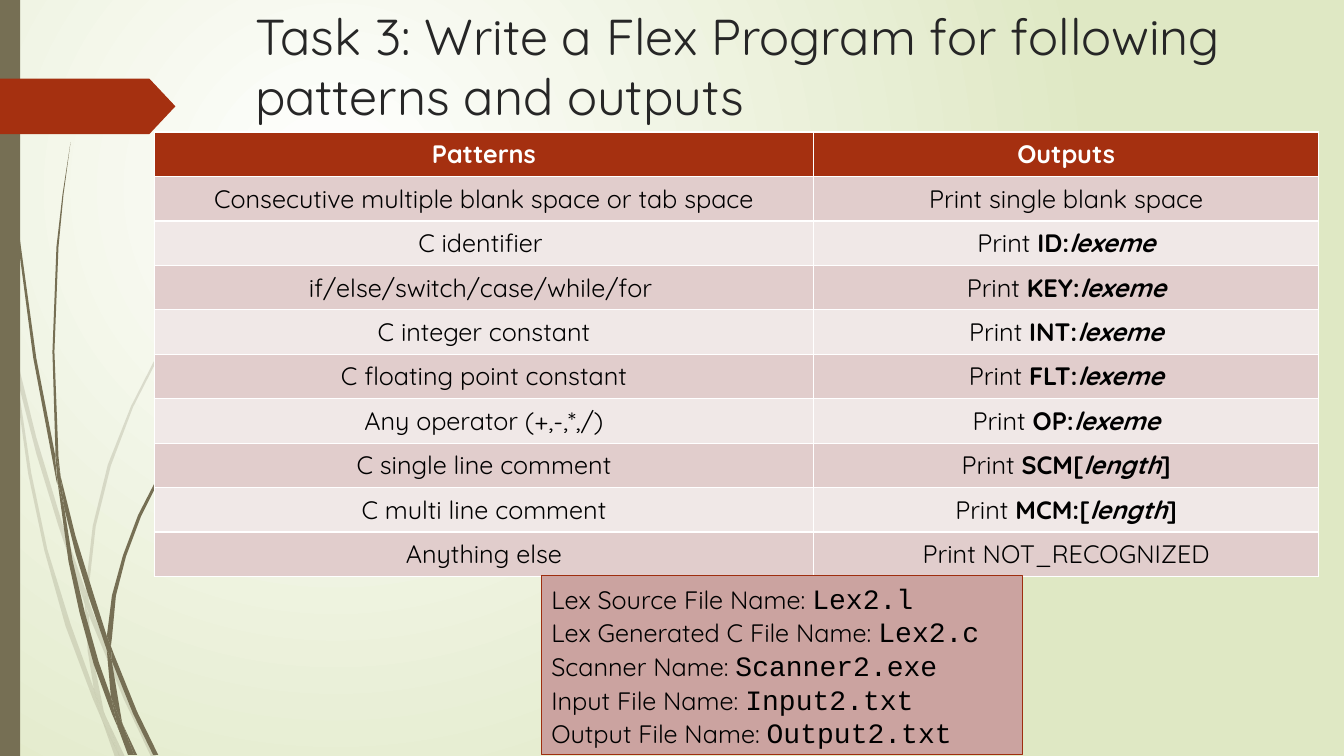
"""Build the Flex exercise slide with its table of patterns and outputs."""
from dataclasses import dataclass

from lxml.etree import SubElement
from pptx import Presentation
from pptx.dml.color import RGBColor
from pptx.enum.shapes import MSO_SHAPE
from pptx.enum.text import MSO_ANCHOR, MSO_AUTO_SIZE, PP_ALIGN
from pptx.oxml.ns import qn
from pptx.util import Inches, Pt

COLUMNS, ROWS = 1333, 750
SLIDE_WIDTH, SLIDE_HEIGHT = Inches(13.33), Inches(7.5)
OLIVE, RUST, BLACK, WHITE = "766F54", "A53010", "000000", "FFFFFF"
BANDS = ("F0E8E7", "E1CDCC")


@dataclass(frozen=True)
class Frame:
    """A place on the grid of the slide."""
    left: int
    top: int
    width: int
    height: int

    def lengths(self):
        """Return left, top, width and height as slide lengths."""
        return (across(self.left), down(self.top), across(self.width), down(self.height))


@dataclass(frozen=True)
class Words:
    """A piece of text with one look."""
    text: str
    color: str = BLACK
    name: str = "Quicksand"
    size: int = 18
    bold: bool = False
    italic: bool = False


@dataclass(frozen=True)
class Tuft:
    """Blades of grass, each an outline of grid points, with one opacity."""
    opacity: int
    blades: tuple


TITLE = Frame(243, 0, 1065, 142)
TABLE = Frame(153, 131, 1155, 441)
TABLE_COLUMNS = (654, 501)
FILES_BOX = Frame(537, 571, 477, 178)
STRIP = Frame(0, 0, 20, 750)
ARROW = Frame(0, 78, 174, 55)

PALE_TUFT = Tuft(20, (
    ((11, 350), (9, 322), (0, 282), (0, 299), (10, 344)),
    ((58, 522), (84, 599), (85, 586), (62, 520), (36, 434), (14, 345), (17, 376), (36, 450)),
    ((92, 607), (88, 596), (88, 610), (123, 694), (150, 751), (155, 751), (127, 692)),
    ((119, 751), (124, 751), (105, 711)),
    ((93, 683), (70, 619), (47, 545), (31, 469), (17, 376), (11, 350), (28, 470), (44, 546),
     (65, 621), (92, 693), (101, 714), (99, 707)),
    ((84, 599), (87, 646), (93, 683), (96, 692), (105, 711), (103, 706), (91, 646), (88, 610)),
    ((88, 584), (95, 522), (110, 462), (132, 404), (160, 349), (192, 297), (229, 245),
     (268, 198), (290, 175), (312, 154), (312, 153), (289, 175), (268, 197), (228, 244),
     (191, 295), (158, 348), (130, 403), (107, 461), (92, 522), (85, 584), (85, 586), (88, 596)),
    ((101, 714), (114, 751), (119, 751)),
    ((88, 608), (88, 596), (85, 586), (84, 599)),
    ((96, 692), (93, 683), (99, 707), (101, 714), (119, 751), (105, 711)),
))

DARK_TUFT = Tuft(100, (
    ((7, 110), (17, 233), (33, 355), (56, 477), (57, 481), (55, 457), (55, 453), (36, 355),
     (19, 232), (8, 109), (5, 48), (4, 0), (3, 0), (4, 48)),
    ((88, 592), (106, 645), (106, 631), (93, 590), (75, 532), (60, 472), (64, 505), (75, 549)),
    ((113, 649), (110, 641), (111, 656), (132, 708), (152, 749), (157, 749), (136, 706)),
    ((110, 691), (98, 657), (84, 607), (72, 556), (64, 505), (57, 477), (68, 557), (79, 608),
     (93, 659), (111, 708), (117, 722)),
    ((60, 472), (58, 453), (54, 349), (58, 245), (63, 193), (70, 141), (62, 193), (56, 245),
     (52, 349), (55, 449)),
    ((133, 749), (136, 749), (122, 719)),
    ((57, 477), (64, 505), (60, 472), (55, 449), (55, 453)),
    ((111, 633), (115, 591), (125, 552), (140, 512), (158, 476), (180, 440), (205, 406),
     (231, 374), (245, 359), (261, 344), (260, 344), (245, 358), (231, 373), (204, 405),
     (179, 438), (156, 474), (137, 511), (122, 551), (111, 591), (106, 631), (110, 641)),
    ((117, 722), (127, 749), (131, 749)),
    ((106, 645), (110, 691), (116, 706), (122, 719), (121, 716), (111, 656)),
    ((106, 645), (111, 656), (110, 641), (106, 631)),
    ((116, 706), (110, 691), (117, 722), (130, 749), (133, 749), (122, 719)),
))

PATTERNS = (
    ("Consecutive multiple blank space or tab space", "Print single blank space", "", ""),
    ("C identifier ", "Print ", "ID:", "lexeme"),
    ("if/else/switch/case/while/for ", "Print ", "KEY:", "lexeme"),
    ("C integer constant", "Print ", "INT:", "lexeme"),
    ("C floating point constant", "Print ", "FLT:", "lexeme"),
    ("Any operator (+,-,*,/)", "Print ", "OP:", "lexeme"),
    ("C single line comment", "Print ", "SCM[", "length"),
    ("C multi line comment", "Print ", "MCM:[", "length"),
    ("Anything else", "Print NOT_RECOGNIZED", "", ""),
)

FILES = (
    ("Lex Source File Name: ", "Lex2.l"),
    ("Lex Generated C File Name: ", "Lex2.c"),
    ("Scanner Name: ", "Scanner2.exe"),
    ("Input File Name: ", "Input2.txt"),
    ("Output File Name: ", "Output2.txt"),
)


def across(columns: int) -> int:
    """Turn grid columns into a length."""
    return round(SLIDE_WIDTH * columns / COLUMNS)


def down(rows: int) -> int:
    """Turn grid rows into a length."""
    return round(SLIDE_HEIGHT * rows / ROWS)


def rgb(value: str) -> RGBColor:
    """Turn a hex string into a colour."""
    return RGBColor.from_string(value)


def apply_format(target, values: dict) -> None:
    """Set each named attribute on the target."""
    for name, value in values.items():
        setattr(target, name, value)


def paint(target, color: str) -> None:
    """Fill a shape or cell with one colour."""
    target.fill.solid()
    target.fill.fore_color.rgb = rgb(color)


def write(paragraph, pieces, alignment=PP_ALIGN.LEFT) -> None:
    """Write the pieces of text as runs of one paragraph."""
    paragraph.alignment = alignment
    for piece in pieces:
        run = paragraph.add_run()
        run.text = piece.text
        apply_format(run.font, {"name": piece.name, "size": Pt(piece.size),
                                "bold": piece.bold, "italic": piece.italic})
        run.font.color.rgb = rgb(piece.color)


def finish(shape, color: str) -> None:
    """Give a shape a plain fill without line or shadow."""
    shape.shadow.inherit = False
    paint(shape, color)
    shape.line.fill.background()


def add_block(slide, kind, frame: Frame, color: str):
    """Add a plain preset shape."""
    shape = slide.shapes.add_shape(kind, *frame.lengths())
    finish(shape, color)
    return shape


def add_tuft(slide, tuft: Tuft) -> None:
    """Draw the blades of one tuft of grass."""
    for blade in tuft.blades:
        start, *others = [(across(x), down(y)) for x, y in blade]
        builder = slide.shapes.build_freeform(*start)
        builder.add_line_segments(others, close=True)
        shape = builder.convert_to_shape()
        finish(shape, OLIVE)
        color = shape.element.spPr.find(qn("a:solidFill")).find(qn("a:srgbClr"))
        SubElement(color, qn("a:alpha"), val=str(tuft.opacity * 1000))


def add_background(slide) -> None:
    """Give the slide a radial gradient."""
    fill = slide.background.fill
    fill.gradient()
    for stop, color, position in zip(fill.gradient_stops, (WHITE, "DFE8C4"), (0, 1)):
        stop.color.rgb = rgb(color)
        stop.position = position
    gradient = slide.element.find(".//" + qn("a:gradFill"))
    gradient.remove(gradient.find(qn("a:lin")))
    radial = SubElement(gradient, qn("a:path"), path="circle")
    SubElement(radial, qn("a:fillToRect"), l="50000", t="50000", r="100000", b="100000")


def add_title(slide) -> None:
    """Place and write the title."""
    title = slide.shapes.title
    apply_format(title, dict(zip(("left", "top", "width", "height"), TITLE.lengths())))
    apply_format(title.text_frame, {"word_wrap": True, "auto_size": MSO_AUTO_SIZE.NONE,
                                    "vertical_anchor": MSO_ANCHOR.TOP})
    write(title.text_frame.paragraphs[0],
          [Words("Task 3: Write a Flex Program for following patterns and outputs",
                 "262626", size=36)])


def add_patterns(slide) -> None:
    """Add the table of patterns and outputs."""
    lines = [[[Words(text, WHITE, bold=True)] for text in ("Patterns", "Outputs")]]
    for pattern, start, token, value in PATTERNS:
        pieces = (Words(start), Words(token, bold=True), Words(value, bold=True, italic=True),
                  Words("]" if token.endswith("[") else "", bold=True))
        lines.append([[Words(pattern)], [piece for piece in pieces if piece.text]])
    table = slide.shapes.add_table(len(lines), len(TABLE_COLUMNS), *TABLE.lengths()).table
    for column, width in zip(table.columns, TABLE_COLUMNS):
        column.width = across(width)
    for number, line in enumerate(lines):
        for cell, pieces in zip(table.rows[number].cells, line):
            paint(cell, BANDS[number % 2] if number else RUST)
            cell.vertical_anchor = MSO_ANCHOR.MIDDLE
            write(cell.text_frame.paragraphs[0], pieces, PP_ALIGN.CENTER)


def add_files(slide) -> None:
    """Add the box of file names."""
    box = add_block(slide, MSO_SHAPE.RECTANGLE, FILES_BOX, "CBA3A0")
    box.line.color.rgb = rgb("9E2E0F")
    box.line.width = Pt(0.75)
    frame = box.text_frame
    apply_format(frame, {"word_wrap": True, "vertical_anchor": MSO_ANCHOR.MIDDLE})
    for number, (label, file_name) in enumerate(FILES):
        paragraph = frame.add_paragraph() if number else frame.paragraphs[0]
        write(paragraph, [Words(label), Words(file_name, name="Courier New", size=20)])


def main() -> None:
    """Build and save the presentation."""
    presentation = Presentation()
    apply_format(presentation, {"slide_width": SLIDE_WIDTH, "slide_height": SLIDE_HEIGHT})
    slide = presentation.slides.add_slide(presentation.slide_layouts.get_by_name("Title Only"))
    add_background(slide)
    for tuft in (PALE_TUFT, DARK_TUFT):
        add_tuft(slide, tuft)
    add_block(slide, MSO_SHAPE.RECTANGLE, STRIP, OLIVE)
    add_block(slide, MSO_SHAPE.PENTAGON, ARROW, RUST).adjustments[0] = 0.47
    add_title(slide)
    add_patterns(slide)
    add_files(slide)
    presentation.save("out.pptx")


main()
